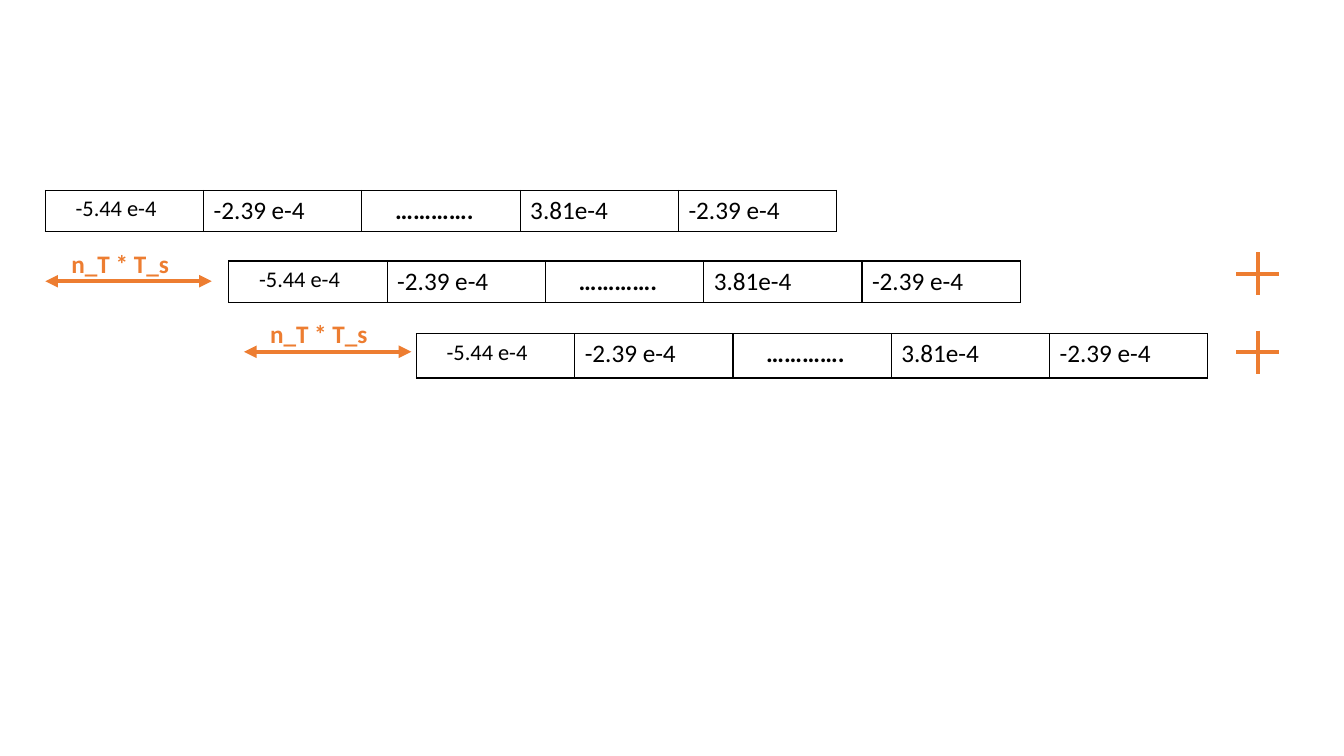
from lxml.etree import SubElement as Sub
from pptx import Presentation
from pptx.dml.color import RGBColor
from pptx.enum.shapes import MSO_CONNECTOR as Link
from pptx.enum.text import MSO_AUTO_SIZE as Auto
from pptx.oxml.ns import qn
from pptx.util import Inches, Pt

BLACK = RGBColor(0, 0, 0)
ORANGE = RGBColor(0xED, 0x7D, 0x31)
FONT = "Calibri"
COL = 1.57
CELLS = [
    ("-5.44 e-4", 16, False, 0.3),
    ("-2.39 e-4", 18, False, 0.1),
    ("………….", 18, True, 0.33),
    ("3.81e-4", 18, False, 0.1),
    ("-2.39 e-4", 18, False, 0.1),
]
ROWS = [(0.45, 1.89, 0.41), (2.27, 2.59, 0.41), (4.13, 3.31, 0.44)]
SHIFTS = [(0.45, 2.41, 1.65), (2.42, 3.11, 1.66)]
SIGNS = [(12.26, 2.5), (12.26, 3.28)]


def add_run(frame, text, size, color, bold):
    run = frame.paragraphs[0].add_run()
    run.text = text
    font = run.font
    font.name, font.size, font.bold = FONT, Pt(size), bold
    font.color.rgb = color
    return run


def add_edge(owner, tag, width, place):
    edge = Sub(owner, qn(tag), w=str(Pt(width)))
    fill = Sub(edge, qn("a:solidFill"))
    Sub(fill, qn("a:srgbClr"), val=str(BLACK))
    owner.insert(place, edge)


def add_row(slide, left, top, high):
    frame = slide.shapes.add_table(
        1, len(CELLS), Inches(left), Inches(top),
        Inches(COL * len(CELLS)), Inches(high))
    table = frame.table
    table.first_row = table.horz_banding = False
    for i, (text, size, bold, inset) in enumerate(CELLS):
        table.columns[i].width = Inches(COL)
        cell = table.cell(0, i)
        cell.margin_left = Inches(inset)
        cell.fill.background()
        run = add_run(cell.text_frame, text, size, BLACK, bold)
        add_edge(run.font._element, "a:ln", 0.75, 0)
        props = cell._tc.get_or_add_tcPr()
        for place, side in enumerate("LRTB"):
            add_edge(props, f"a:ln{side}", 1, place)


def add_line(slide, x1, y1, x2, y2, heads=False):
    line = slide.shapes.add_connector(
        Link.STRAIGHT, Inches(x1), Inches(y1), Inches(x2), Inches(y2))
    line.line.color.rgb = ORANGE
    line.line.width = Pt(3)
    props = line._element.spPr
    if heads:
        stroke = props.find(qn("a:ln"))
        for tag in ("a:headEnd", "a:tailEnd"):
            Sub(stroke, qn(tag), type="triangle")
    Sub(props, qn("a:effectLst"))


def add_shift(slide, left, top, wide):
    mid = top + 0.38
    add_line(slide, left, mid, left + wide, mid, True)
    box = slide.shapes.add_textbox(
        Inches(left + 0.16), Inches(top), Inches(1.65), Inches(0.4))
    frame = box.text_frame
    frame.word_wrap = True
    frame.auto_size = Auto.SHAPE_TO_FIT_TEXT
    add_run(frame, "n_T * T_s", 18, ORANGE, True)


def add_plus(slide, left, top, size=0.43):
    x, y = left + size / 2, top + size / 2
    add_line(slide, x, top, x, top + size)
    add_line(slide, left, y, left + size, y)


def main():
    deck = Presentation()
    deck.slide_width, deck.slide_height = Inches(13.33), Inches(7.5)
    slide = deck.slides.add_slide(deck.slide_layouts[6])
    for add, boxes in ((add_row, ROWS), (add_shift, SHIFTS), (add_plus, SIGNS)):
        for box in boxes:
            add(slide, *box)
    deck.save("out.pptx")


if __name__ == "__main__":
    main()
